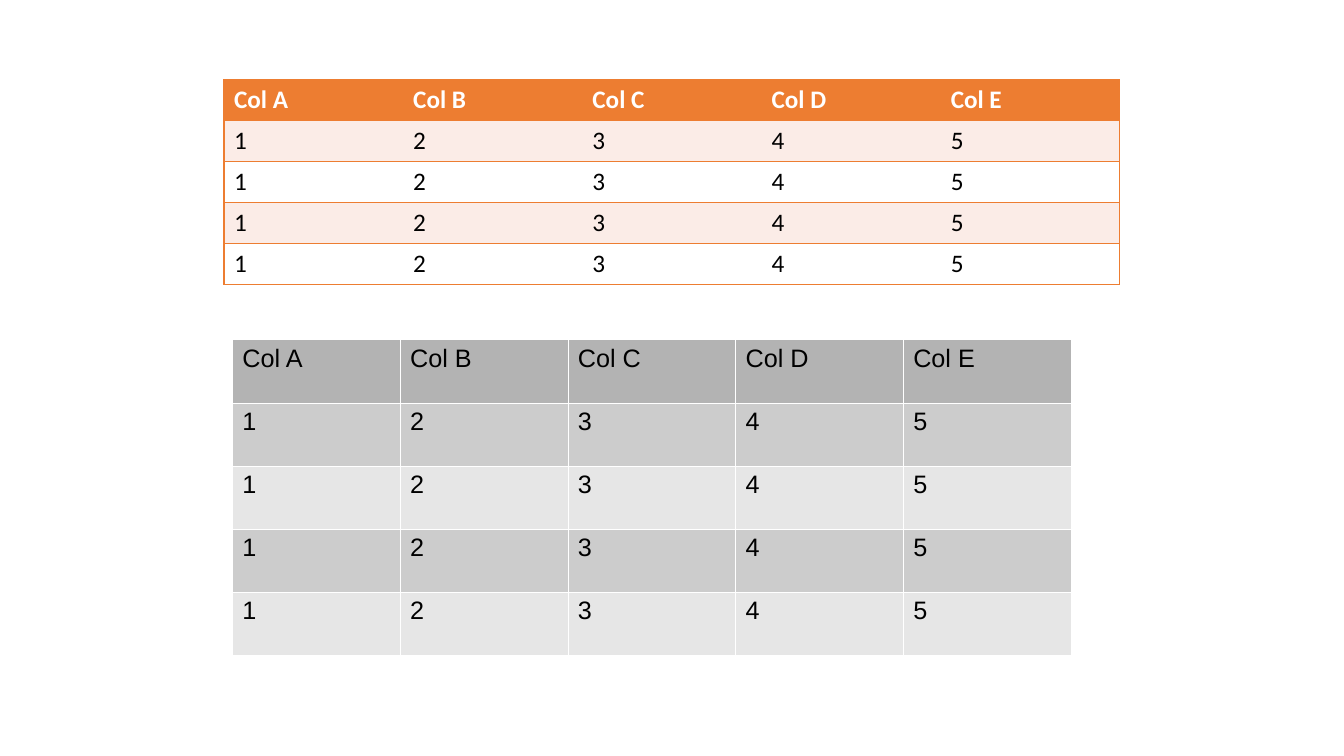
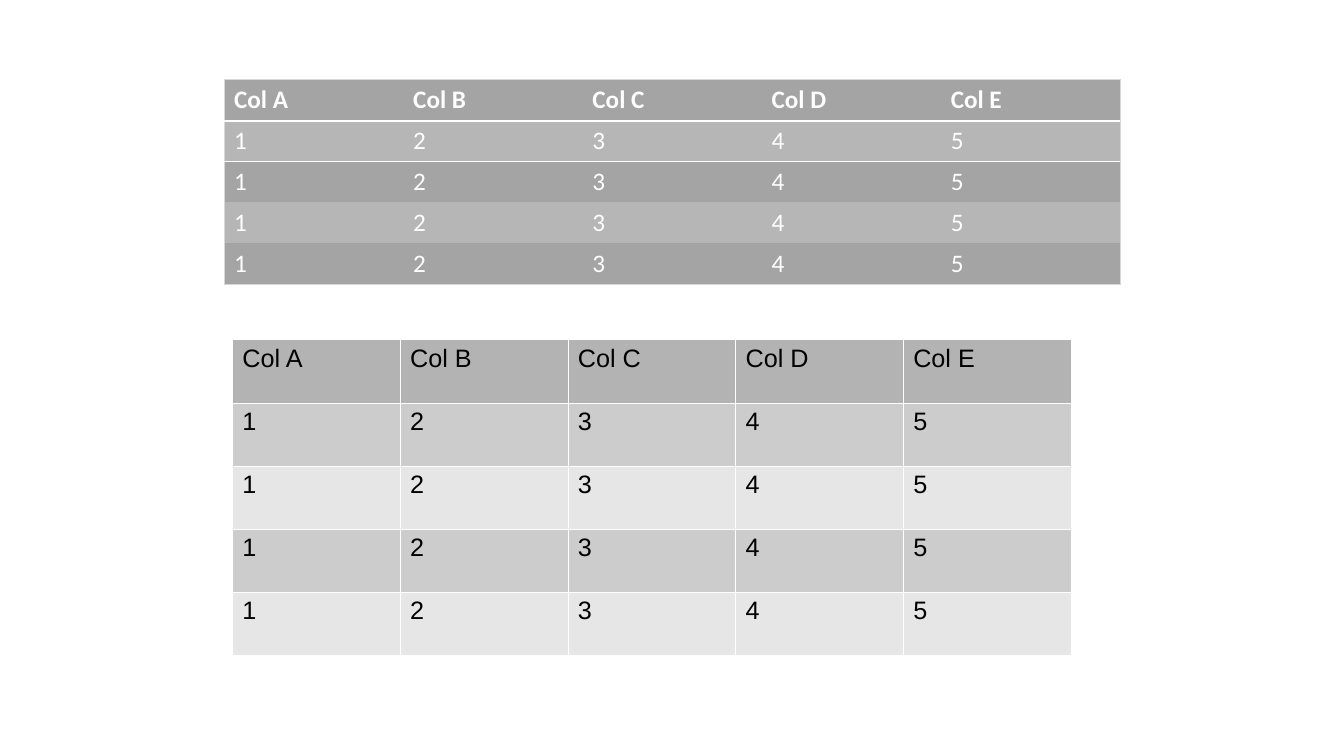
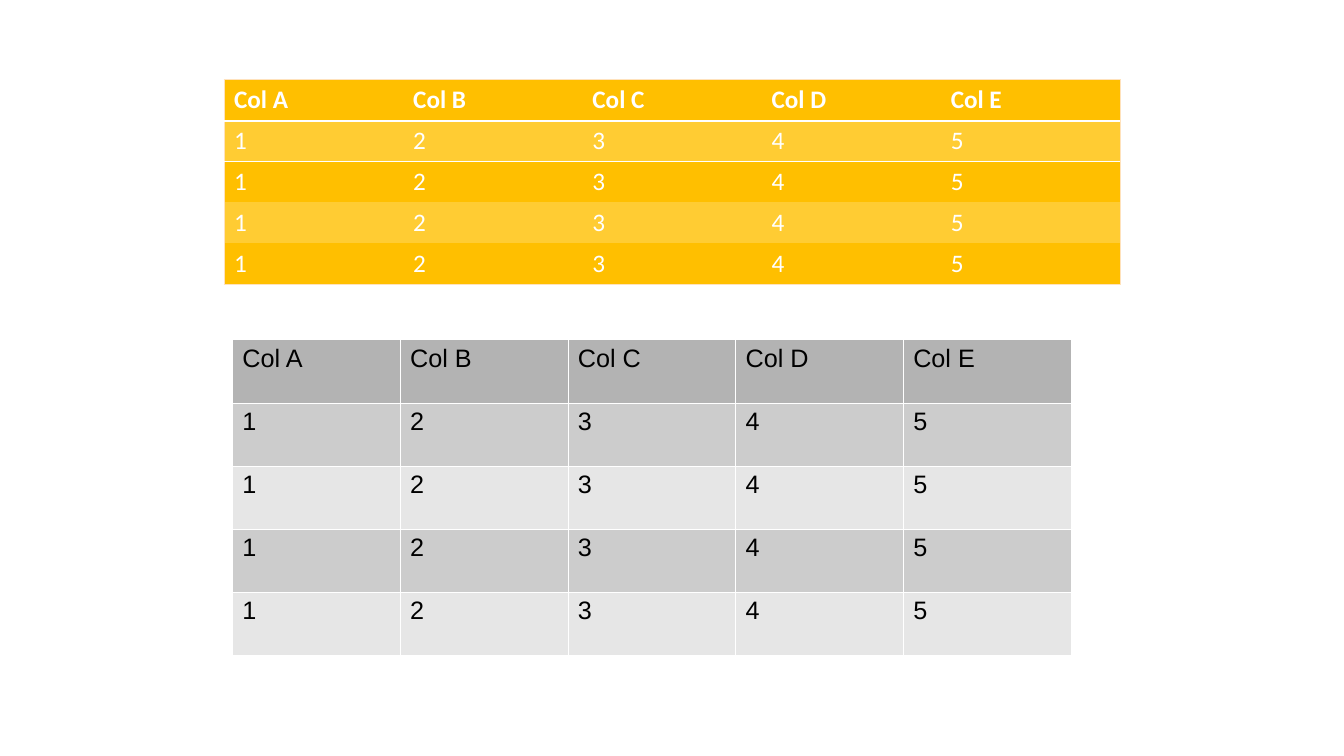
from lxml.etree import SubElement
from pptx import Presentation
from pptx.dml.color import RGBColor
from pptx.enum.text import MSO_ANCHOR
from pptx.oxml.ns import qn
from pptx.util import Pt

DATA = [[f"Col {c}" for c in "ABCDE"]] + [list("12345")] * 4
COUNT = 5
WHITE, BLACK = "FFFFFF", "000000"
ORANGE, GREY, GOLD = "ED7D31", "A4A4A4", "FFBF00"
NO_STYLE = "{2D5ABB26-0587-4C30-8999-92F81FD0307C}"


def color(code):
    return RGBColor.from_string(code)


def border(cell, side, line):
    """Draw one side (L, R, T or B); line is (colour, width) or None."""
    if line is None:
        return
    code, width = line
    edge = SubElement(cell._tc.get_or_add_tcPr(), qn(f"a:ln{side}"), w=str(Pt(width)))
    fill = SubElement(edge, qn("a:solidFill"))
    SubElement(fill, qn("a:srgbClr"), val=code)


def style(cell, font, ink, bold, fill, anchor):
    cell.fill.solid()
    cell.fill.fore_color.rgb = color(fill)
    cell.vertical_anchor = anchor
    text = cell.text_frame.paragraphs[0].font
    text.name, text.size, text.bold = font, Pt(18), bold
    text.color.rgb = color(ink)


def grid(slide, box, fills, inks, across, down, font, bold, anchor):
    """Add a table; across and down list its horizontal and vertical lines.

    fills holds head, odd and even row colours; inks holds head and body.
    """
    table = slide.shapes.add_table(len(DATA), COUNT, *map(Pt, box)).table
    table.first_row = table.horz_banding = False
    table._tbl.tblPr.find(qn("a:tableStyleId")).text = NO_STYLE
    head, odd, even = fills
    for r, row in enumerate(DATA):
        fill = head if r == 0 else odd if r % 2 else even
        for c, word in enumerate(row):
            cell = table.cell(r, c)
            cell.text = word
            sides = {"L": down[c], "R": down[c + 1], "T": across[r], "B": across[r + 1]}
            for side, line in sides.items():
                border(cell, side, line)
            style(cell, font, inks[min(r, 1)], bold and r == 0, fill, anchor)


def accent(slide, fills, ink, across, edge):
    down = [edge] + [None] * (COUNT - 1) + [edge]
    grid(slide, (160, 57, 640, 146), fills, (WHITE, ink), across, down,
         "Calibri", True, MSO_ANCHOR.MIDDLE)


def plain(slide):
    lines = [(WHITE, 0.06)] * (COUNT + 1)
    grid(slide, (166, 242.5, 599, 225.5), ("B3B3B3", "CCCCCC", "E6E6E6"),
         (BLACK, BLACK), lines, lines, "Arial", False, MSO_ANCHOR.TOP)


def ruled(slide):
    line = (ORANGE, 0.96)
    accent(slide, (ORANGE, "FBECE7", WHITE), BLACK, [line] * 6, line)


def banded(slide, dark, light, frame):
    edge = (frame, 0.5)
    across = [edge, (WHITE, 1.47), None, None, None, edge]
    accent(slide, (dark, light, dark), WHITE, across, edge)


def main():
    deck = Presentation()
    deck.slide_width, deck.slide_height = Pt(960), Pt(540)
    slides = [deck.slides.add_slide(deck.slide_layouts[6]) for _ in range(3)]
    ruled(slides[0])
    banded(slides[1], GREY, "B6B6B6", "D8D8D8")
    banded(slides[2], GOLD, "FFCC33", "FFE2BC")
    for slide in slides:
        plain(slide)
    deck.save("out.pptx")


if __name__ == "__main__":
    main()
